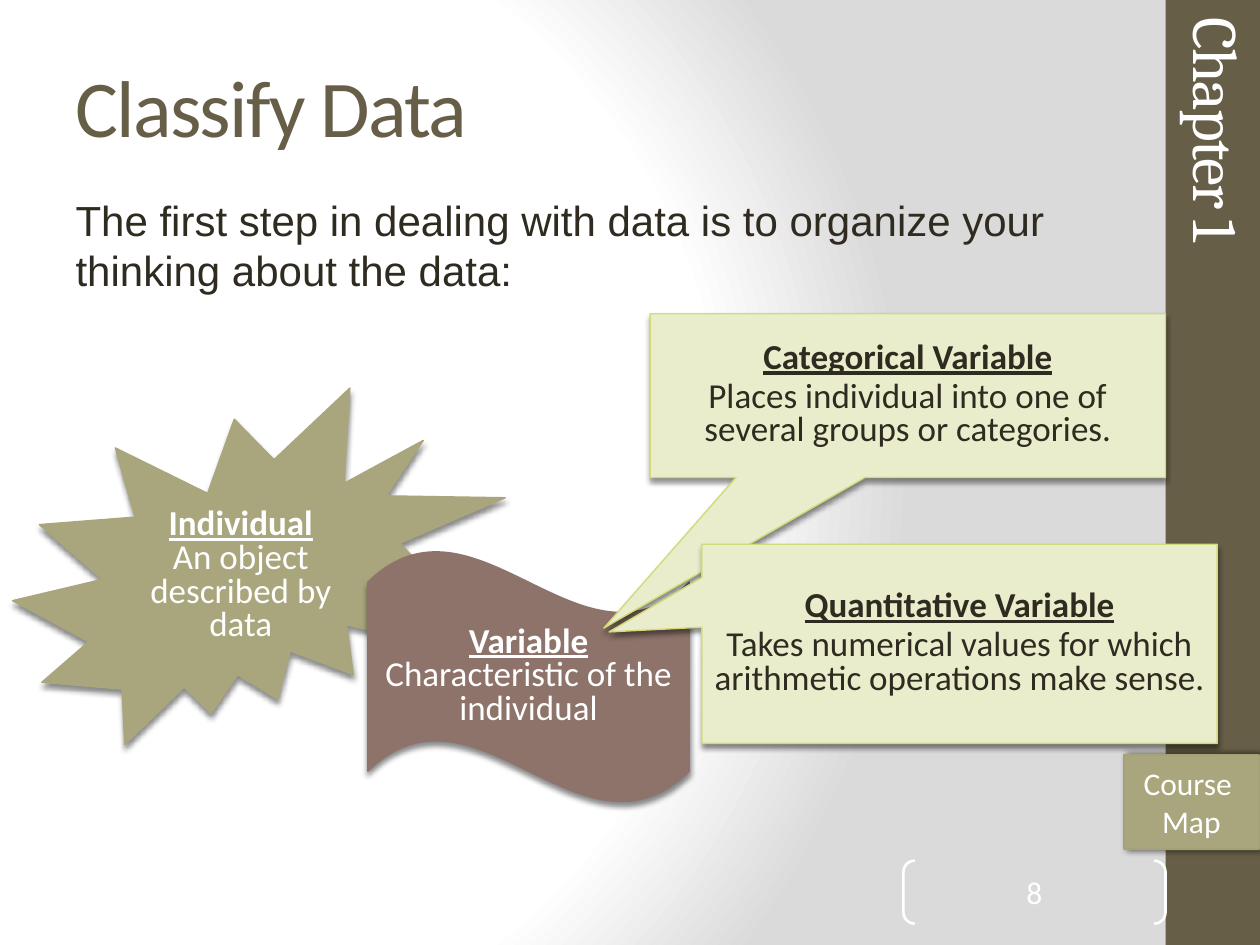
"""Build the Classify Data slide with its callouts and chapter strip."""
from lxml.etree import SubElement as Sub
from pptx import Presentation
from pptx.dml.color import RGBColor as RGB
from pptx.enum.shapes import MSO_SHAPE as Kind
from pptx.enum.text import MSO_ANCHOR as Anchor, MSO_AUTO_SIZE as Fit, PP_ALIGN as Align
from pptx.oxml import parse_xml
from pptx.oxml.ns import nsdecls, qn
from pptx.util import Inches, Pt

WHITE = RGB(0xFF, 0xFF, 0xFF)
INK = RGB(0x2F, 0x2B, 0x20)
BROWN = RGB(0x67, 0x5E, 0x47)
OLIVE = RGB(0xA9, 0xA5, 0x7C)
EDGE = RGB(0xA6, 0xA2, 0x78)
MAUVE = RGB(0x8E, 0x73, 0x6A)
LIME = RGB(0xEA, 0xED, 0xCB)
LEAF = RGB(0xD2, 0xDA, 0x7A)

deck = Presentation()
deck.slide_width, deck.slide_height = Inches(10), Inches(7.5)
slide = deck.slides.add_slide(deck.slide_layouts[1])
shapes = slide.shapes


def area(left, top, width, height):
    """Turn percentages of the slide into lengths."""
    wide, high = deck.slide_width / 100, deck.slide_height / 100
    return [int(n) for n in (left * wide, top * high, width * wide, height * high)]


def write(para, text, size, color, font="Calibri", bold=False, track=None):
    """Add one formatted run to a paragraph."""
    run = para.add_run()
    run.text = text
    run.font.size, run.font.name = Pt(size), font
    run.font.color.rgb = color
    run.font.bold = run.font.underline = bold
    if track:
        run.font._element.set("spc", str(track))


slide.background.fill.gradient()
fill = slide.background._cSld.bg.bgPr.find(qn("a:gradFill"))
fill.getparent().replace(fill, parse_xml(
    f'<a:gradFill {nsdecls("a")} rotWithShape="1"><a:gsLst>'
    '<a:gs pos="0"><a:srgbClr val="FFFFFF"/></a:gs>'
    '<a:gs pos="75000"><a:srgbClr val="FFFFFF"/></a:gs>'
    '<a:gs pos="100000"><a:srgbClr val="DADADA"/></a:gs></a:gsLst>'
    '<a:path path="circle"><a:fillToRect l="20000" t="50000" r="100000" b="50000"/>'
    '</a:path></a:gradFill>'))

title, body = shapes.title, slide.placeholders[1]
for holder, place, anchor in (
    (title, (5, 2.27, 87.5, 17.73), Anchor.MIDDLE),
    (body, (5, 19.87, 87.5, 20.27), Anchor.TOP),
):
    holder.left, holder.top, holder.width, holder.height = area(*place)
    frame = holder.text_frame
    frame.word_wrap, frame.auto_size = True, Fit.NONE
    frame.vertical_anchor = anchor
    frame.paragraphs[0].alignment = Align.LEFT
write(title.text_frame.paragraphs[0], "Classify Data", 46, BROWN, track=-100)
para = body.text_frame.paragraphs[0]
para.space_before = Pt(7)
props = para._p.get_or_add_pPr()
props.set("marL", "0")
props.set("indent", "0")
Sub(props, qn("a:buNone"))
write(para, "The first step in dealing with data is to organize your "
      "thinking about the data:", 24, INK, "Arial")

for place, color in (((92.5, 0, 7.5, 100), BROWN), ((92.5, 80, 7.5, 10), OLIVE)):
    strip = shapes.add_shape(Kind.RECTANGLE, *area(*place))
    strip.shadow.inherit = False
    strip.fill.solid()
    strip.fill.fore_color.rgb = color
    strip.line.fill.background()

page = shapes.add_shape(Kind.DOUBLE_BRACKET, *area(71.7, 91.07, 20.8, 6.67))
page.shadow.inherit = False
page.adjustments[0] = 0.18
page.fill.background()
page.line.color.rgb, page.line.width = WHITE, Pt(1.5)
frame = page.text_frame
frame.margin_left = frame.margin_right = frame.margin_top = frame.margin_bottom = 0
frame.vertical_anchor = Anchor.MIDDLE
frame.paragraphs[0].alignment = Align.CENTER
write(frame.paragraphs[0], "8", 18, WHITE)

SOFT, HARD = (45, 3, 2.4, 90), (60, 4, 2, 0)
cards = (
    (Kind.EXPLOSION2, (1, 41.07, 39.1, 37.73), (), OLIVE, OLIVE, WHITE, 0,
     "Individual", "An object described by data"),
    (Kind.WAVE, (29.2, 58.27, 25.5, 26.67), (0.125, 0), MAUVE, MAUVE, WHITE, 0,
     "Variable", "Characteristic of the individual"),
    (Kind.RECTANGULAR_CALLOUT, (51.6, 33.2, 40.9, 17.33), (-0.59, 1.42), LIME, LEAF, INK, 3,
     "Categorical Variable", "Places individual into one of several groups or categories."),
    (Kind.RECTANGULAR_CALLOUT, (55.7, 57.6, 40.9, 21.07), (-0.68, -0.06), LIME, LEAF, INK, 3,
     "Quantitative Variable",
     "Takes numerical values for which arithmetic operations make sense."),
    (Kind.ACTION_BUTTON_CUSTOM, (89.2, 79.87, 10.7, 10), (), OLIVE, EDGE, WHITE, 0,
     "", "Course \vMap"),
)
for kind, place, bends, color, edge, ink, gap, head, text in cards:
    card = shapes.add_shape(kind, *area(*place))
    for i, bend in enumerate(bends):
        card.adjustments[i] = bend
    card.fill.solid()
    card.fill.fore_color.rgb = color
    card.line.color.rgb, card.line.width = edge, Pt(0.79 if head else 1)
    card.shadow.inherit = False
    alpha, blur, dist, turn = SOFT if head else HARD
    glow = Sub(card._element.spPr.find(qn("a:effectLst")), qn("a:outerShdw"),
               blurRad=str(Pt(blur)), dist=str(Pt(dist)), dir=str(turn * 60000),
               rotWithShape="0")
    Sub(Sub(glow, qn("a:srgbClr"), val="000000"), qn("a:alpha"), val=str(alpha * 1000))
    frame = card.text_frame
    frame.word_wrap, frame.vertical_anchor = True, Anchor.MIDDLE
    para = frame.paragraphs[0]
    if head:
        para.alignment = Align.CENTER
        if kind != Kind.EXPLOSION2:
            para.line_spacing = 0.8
        write(para, head, 20, ink, bold=True)
        para = frame.add_paragraph()
        para.line_spacing, para.space_before = 0.8, Pt(gap)
    para.alignment = Align.CENTER
    for i, part in enumerate(text.split("\v")):
        if i:
            para.add_line_break()
        write(para, part, 20 if head else 18, ink)

label = shapes.add_textbox(*area(73.8, 25.73, 45.8, 10.67))
label.rotation = 90
label.text_frame.word_wrap = True
label.text_frame.vertical_anchor = Anchor.MIDDLE
write(label.text_frame.paragraphs[0], "Chapter 1", 36, WHITE, "Cambria", track=-100)

deck.save("out.pptx")
